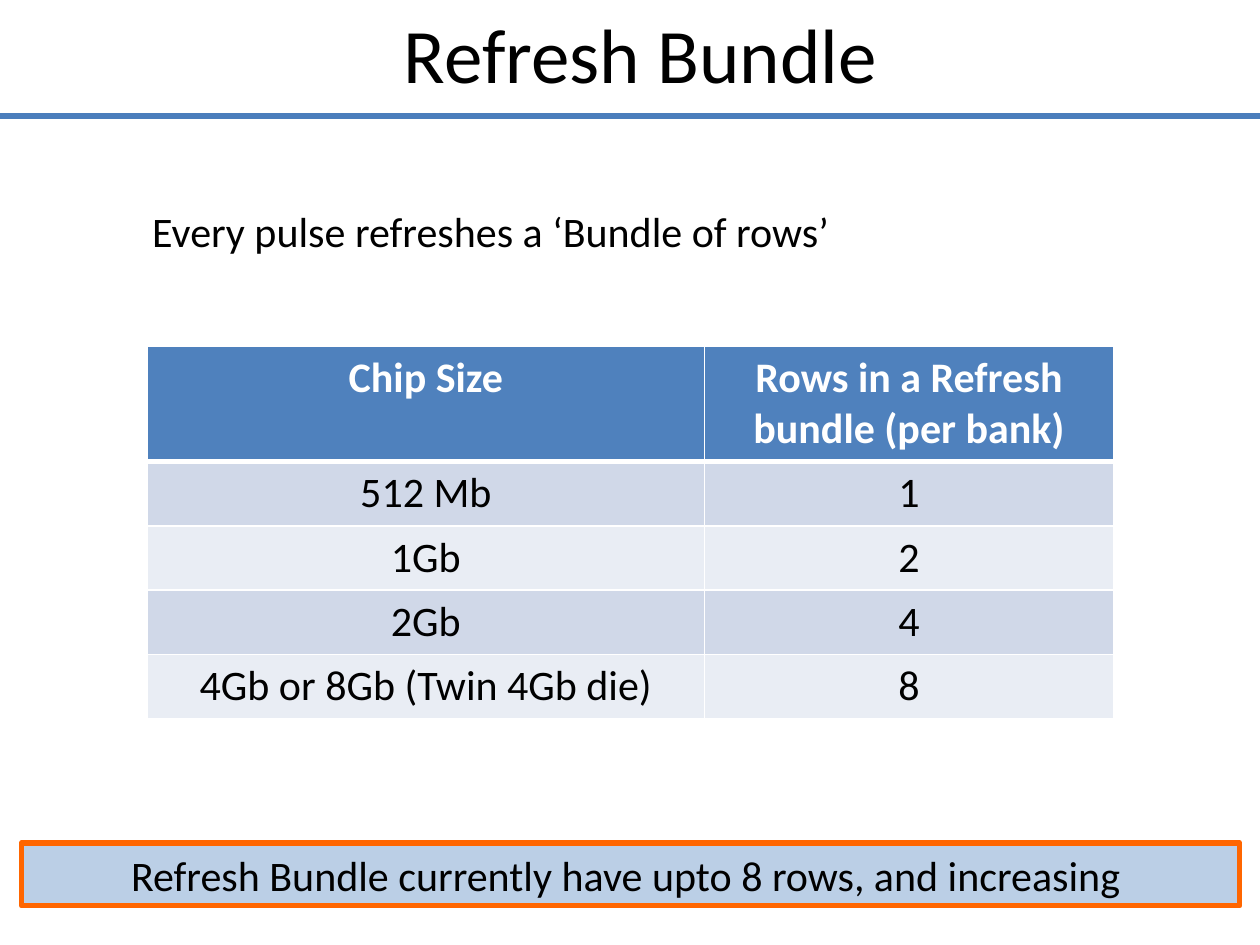
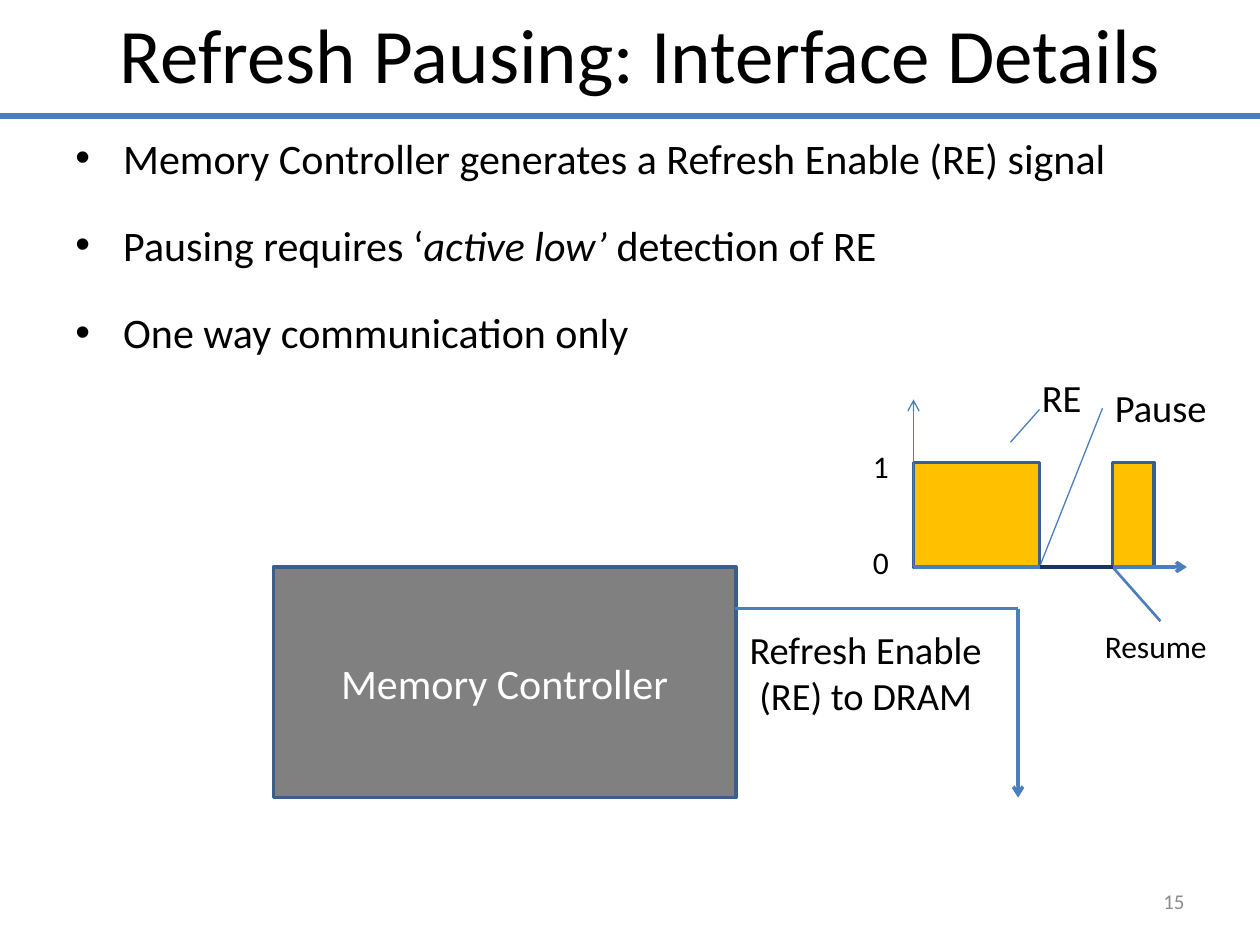
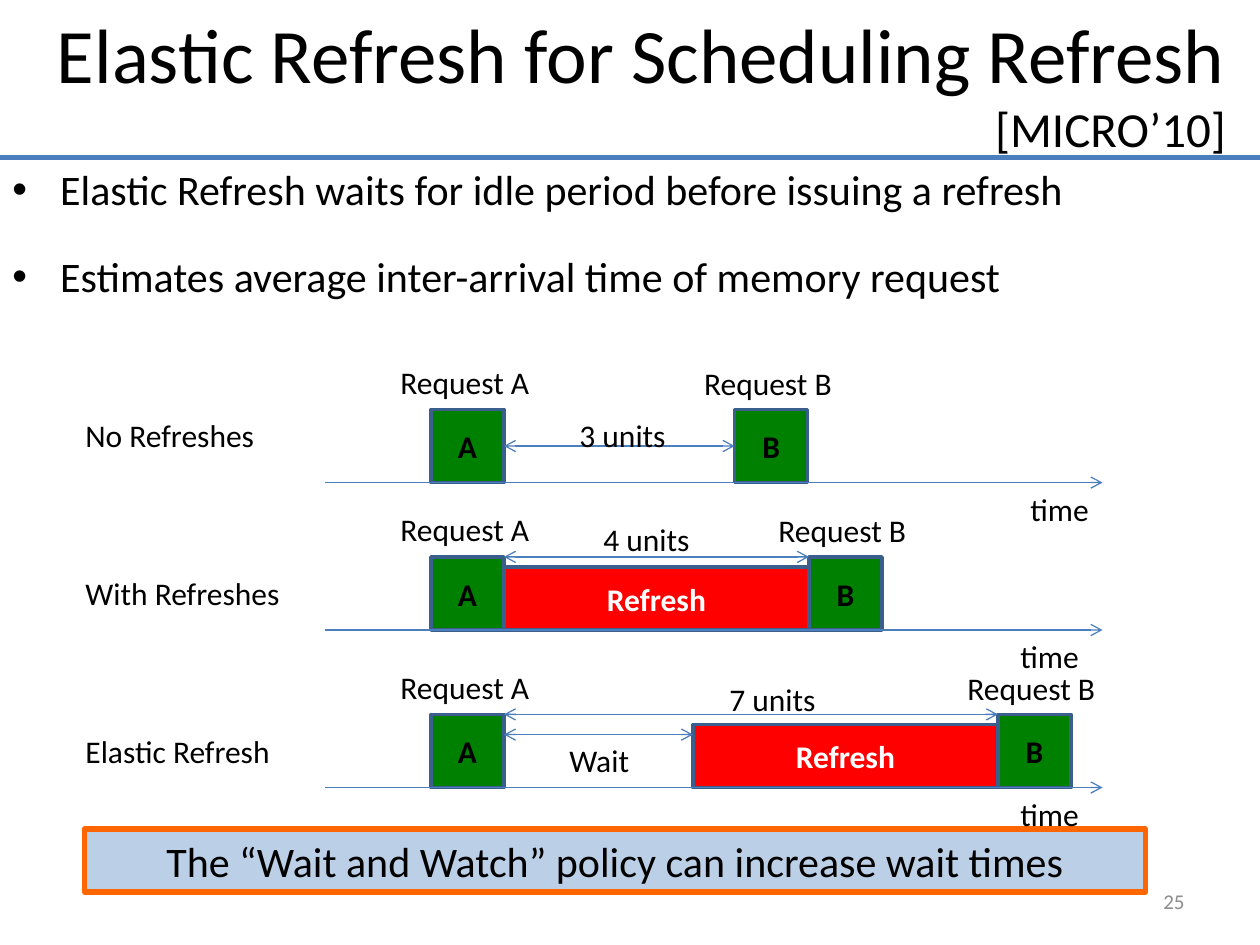
"""Build three slides on pausing and timing the refresh of memory chips."""
import pptx
import pptx.dml.color
import pptx.enum.shapes
import pptx.enum.text
import pptx.oxml
import pptx.oxml.ns
import pptx.util
import lxml.etree

Inches = pptx.util.Inches
Pt = pptx.util.Pt
ALIGN = pptx.enum.text.PP_ALIGN
ANCHOR = pptx.enum.text.MSO_ANCHOR
qn = pptx.oxml.ns.qn

FONT = "Calibri"
BLACK, WHITE, GREY = "000000", "FFFFFF", "8C8C8C"
BLUE, EDGE, NAVY = "4B7EBC", "3A5F8C", "17375E"
PALE, ORANGE, GOLD = "BBCFE6", "FF6600", "FFC000"
SLATE, GREEN, RED = "808080", "008000", "FF0000"
HEAD, BANDS = "4F81BD", ("E9EDF4", "D0D8E8")


def tint(code):
    return pptx.dml.color.RGBColor.from_string(code)


def write(frame, text, size=18, color=BLACK, bold=False, align=ALIGN.LEFT,
          anchor=ANCHOR.TOP, wrap=True, bullet=False, gap=0):
    frame.word_wrap = wrap
    frame.auto_size = pptx.enum.text.MSO_AUTO_SIZE.NONE
    frame.vertical_anchor = anchor
    for index, parts in enumerate([text] if isinstance(text, str) else text):
        para = frame.add_paragraph() if index else frame.paragraphs[0]
        para.alignment = align
        para.space_after = Pt(gap)
        if bullet:
            props = para._p.get_or_add_pPr()
            props.set("marL", str(Inches(0.38)))
            props.set("indent", str(-Inches(0.38)))
            lxml.etree.SubElement(props, qn("a:buFont")).set("typeface", "Arial")
            lxml.etree.SubElement(props, qn("a:buChar")).set("char", "•")
        for words, style in [(parts, {})] if isinstance(parts, str) else parts:
            run = para.add_run()
            run.text = words
            run.font.name = FONT
            run.font.size = Pt(style.get("size", size))
            run.font.bold = bold
            run.font.italic = style.get("italic", False)
            run.font.color.rgb = tint(color)


deck = pptx.Presentation()
deck.slide_width, deck.slide_height = Inches(10), Inches(7.5)

mid = {"align": ALIGN.CENTER, "anchor": ANCHOR.MIDDLE}
label = {"wrap": False}
large = {"size": 22, "wrap": False}
points = {"size": 24, "bullet": True, "gap": 21}
footer = {"size": 12, "color": GREY, "align": ALIGN.RIGHT, "anchor": ANCHOR.MIDDLE}
banner = {"size": 24, **mid}
foot_at = (7.17, 6.95, 2.33, 0.4)

heads = [
    ("Refresh Bundle", (0.67, 0, 8.83, 0.96), ALIGN.CENTER, 0.92),
    ("Refresh Pausing: Interface Details", (0.67, 0, 8.83, 0.96), ALIGN.CENTER, 0.92),
    ([[("Elastic Refresh for Scheduling Refresh ", {}), ("[MICRO’10]", {"size": 28})]],
     (0.33, 0, 9.5, 0.96), ALIGN.RIGHT, 1.25),
]
slides, lines = [], []
for text, at, align, rule in heads:
    slide = deck.slides.add_slide(deck.slide_layouts[5])
    title = slide.shapes.title
    title.left, title.top, title.width, title.height = map(Inches, at)
    write(title.text_frame, text, size=44, align=align)
    lines.append((slide, (0, rule), (10, rule), BLUE, 3, ()))
    slides.append(slide)
bundle, pausing, elastic = slides

rows = [
    ("Chip Size", "Rows in a Refresh bundle (per bank)"),
    ("512 Mb", "1"), ("1Gb", "2"), ("2Gb", "4"), ("4Gb or 8Gb (Twin 4Gb die)", "8"),
]
table = bundle.shapes.add_table(
    len(rows), 2, Inches(1.17), Inches(2.75), Inches(7.67), Inches(2.92)).table
for column, width in zip(table.columns, (4.42, 3.25)):
    column.width = Inches(width)
for r, row in enumerate(rows):
    table.rows[r].height = Inches(0.51 if r else 0.9)
    for c, text in enumerate(row):
        cell = table.cell(r, c)
        write(cell.text_frame, text, size=24, bold=not r,
              color=BLACK if r else WHITE, align=ALIGN.CENTER)
        props = cell._tc.get_or_add_tcPr()
        for side in "LRTB":
            thick = (side == "B" and r == 0) or (side == "T" and r == 1)
            border = lxml.etree.SubElement(props, qn("a:ln" + side))
            border.set("w", str(Pt(3 if thick else 1)))
            paint = lxml.etree.SubElement(border, qn("a:solidFill"))
            lxml.etree.SubElement(paint, qn("a:srgbClr")).set("val", WHITE)
        cell.fill.solid()
        cell.fill.fore_color.rgb = tint(BANDS[r % 2] if r else HEAD)

texts = [
    (bundle, (1.11, 1.58, 7.5, 0.5), "Every pulse refreshes a ‘Bundle of rows’", {"size": 24}),
    (pausing, (0.5, 1, 9, 2), [
        "Memory Controller generates a Refresh Enable (RE) signal",
        [("Pausing requires ‘", {}), ("active low’", {"italic": True}),
         (" detection of RE", {})],
        "One way communication only"], points),
    (pausing, (5.83, 4.92, 2.08, 0.84), ["Refresh Enable", "(RE) to DRAM"],
     {**large, "align": ALIGN.CENTER}),
    (pausing, (8.17, 2.92, 0.52, 0.47), "RE", large),
    (pausing, (8.75, 3, 1, 0.47), "Pause", large),
    (pausing, (6.83, 3.5, 0.33, 0.4), "1", label),
    (pausing, (6.83, 4.26, 0.33, 0.4), "0", label),
    (pausing, (8.67, 4.93, 1.08, 0.4), "Resume", label),
    (pausing, foot_at, "15", footer),
    (elastic, (0, 1.25, 10, 1.5), [
        "Elastic Refresh waits for idle period before issuing a refresh",
        "Estimates average inter-arrival time of memory request"], points),
    (elastic, (4.42, 5.83, 0.68, 0.4), "Wait", label),
    (elastic, foot_at, "25", footer),
]
boxes = [
    (bundle, (0.17, 6.69, 9.67, 0.5), PALE, ORANGE, 3,
     "Refresh Bundle currently have upto 8 rows, and increasing ", banner),
    (pausing, (2.17, 4.5, 3.67, 1.83), SLATE, EDGE, 2, "Memory Controller",
     {**banner, "color": WHITE}),
    (pausing, (7.25, 3.67, 1, 0.83), GOLD, EDGE, 2, "", mid),
    (pausing, (8.83, 3.67, 0.33, 0.83), GOLD, EDGE, 2, "", mid),
    (elastic, (0.67, 6.58, 8.42, 0.5), PALE, ORANGE, 3,
     "The “Wait and Watch” policy can increase wait times", banner),
]
one, both = ("tailEnd",), ("headEnd", "tailEnd")
lines += [
    (pausing, (5.83, 4.83), (8.08, 4.83), BLUE, 2, ()),
    (pausing, (8.08, 4.83), (8.08, 6.33), BLUE, 2, one),
    (pausing, (7.25, 4.5), (7.25, 3.17), BLUE, 0.75, one),
    (pausing, (7.25, 4.5), (9.42, 4.5), BLUE, 2, one),
    (pausing, (8.25, 3.25), (8.02, 3.51), BLUE, 0.75, ()),
    (pausing, (8.75, 3.24), (8.25, 4.5), BLUE, 0.75, ()),
    (pausing, (8.83, 4.5), (9.21, 4.93), BLUE, 1.5, ()),
    (pausing, (8.25, 4.5), (8.83, 4.5), NAVY, 2, ()),
    (elastic, (4, 5.83), (5.5, 5.83), BLUE, 0.75, both),
]

side, start, span = 0.58, 3.42, 2.42
cases = [
    ("No Refreshes", 3.25, 3.83, 5.83, "3 units", (4.5, 3.25), 3.54, 8.08, False),
    ("With Refreshes", 4.51, 5, 6.42, "4 units", (4.69, 4.08), 4.42, 8, True),
    ("Elastic Refresh", 5.76, 6.25, 7.92, "7 units", (5.69, 5.35), 5.67, 8, True),
]
for name, top, base, end, units, spot, level, clock, busy in cases:
    texts += [
        (elastic, (0.58, top, 1.76, 0.4), name, label),
        (elastic, (*spot, 0.89, 0.4), units, label),
        (elastic, (clock, base + 0.01, 0.67, 0.4), "time", label),
    ]
    for letter, left, rise in (("A", start, 1), ("B", end, 0.99)):
        boxes.append((elastic, (left, base - side, side, side), GREEN, EDGE, 2,
                      letter, {"bold": True, **mid}))
        texts.append((elastic, (left - 0.34, base - rise, 1.24, 0.4),
                      "Request " + letter, label))
    if busy:
        boxes.append((elastic, (end - span, base - 0.5, span, 0.5), RED, EDGE, 2,
                      "Refresh", {"bold": True, "color": WHITE, **mid}))
    lines += [
        (elastic, (2.58, base), (8.75, base), BLUE, 0.75, one),
        (elastic, (start + side, level), (end, level), BLUE, 0.75, both),
    ]

for slide, at, fill, edge, width, text, style in boxes:
    box = slide.shapes.add_shape(
        pptx.enum.shapes.MSO_SHAPE.RECTANGLE, *map(Inches, at))
    box.shadow.inherit = False
    box.fill.solid()
    box.fill.fore_color.rgb = tint(fill)
    box.line.color.rgb = tint(edge)
    box.line.width = Pt(width)
    if text:
        write(box.text_frame, text, **style)

for slide, first, last, color, width, tips in lines:
    line = slide.shapes.add_connector(
        pptx.enum.shapes.MSO_CONNECTOR.STRAIGHT, *map(Inches, first + last))
    line.line.color.rgb = tint(color)
    line.line.width = Pt(width)
    for tip in tips:
        lxml.etree.SubElement(line.line._get_or_add_ln(), qn("a:" + tip)).set("type", "arrow")
    lxml.etree.SubElement(line._element.spPr, qn("a:effectLst"))

for slide, at, text, style in texts:
    write(slide.shapes.add_textbox(*map(Inches, at)).text_frame, text, **style)

deck.save("out.pptx")
